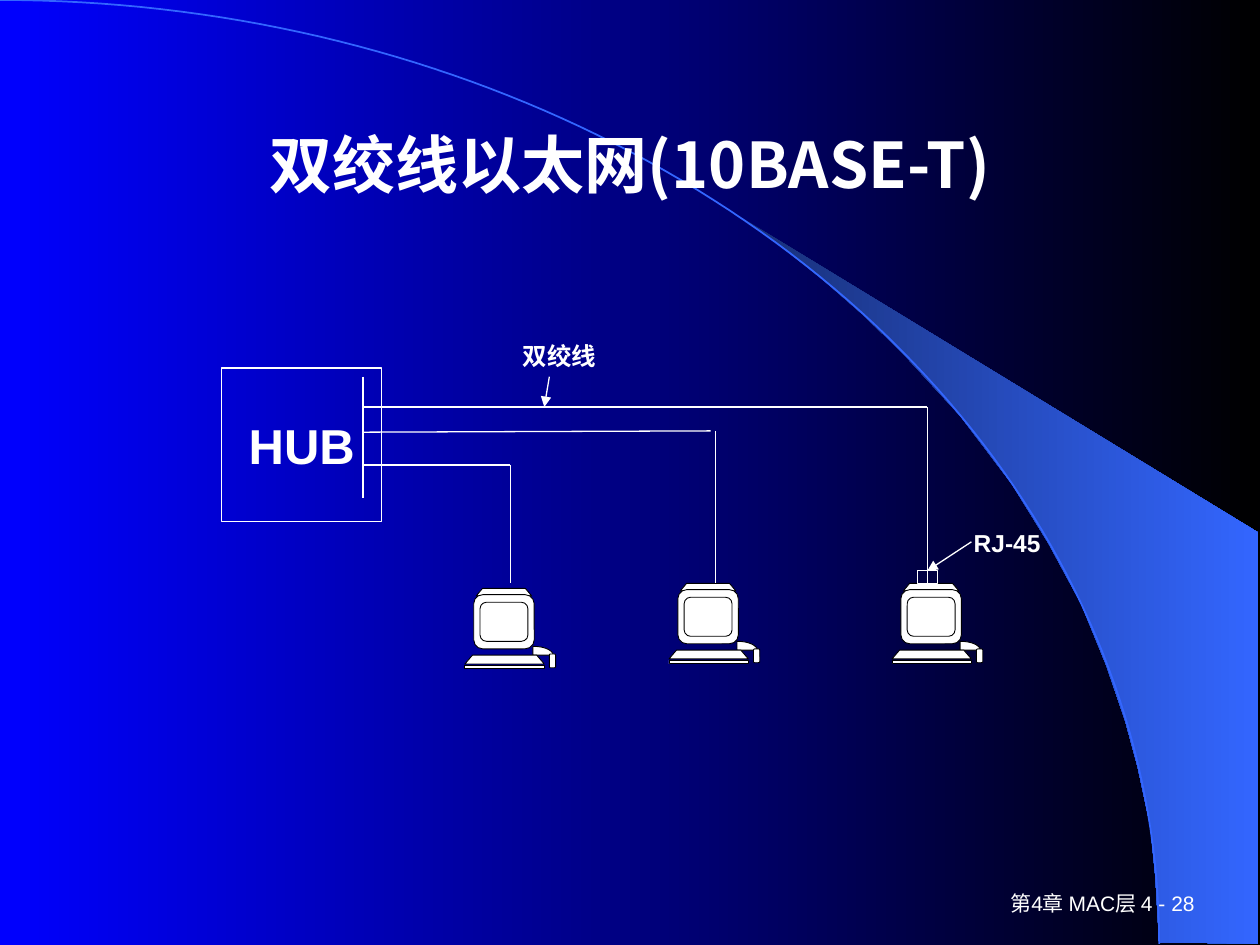
from math import cos, pi, sin

from lxml import etree
from pptx import Presentation
from pptx.dml.color import RGBColor
from pptx.enum.shapes import MSO_CONNECTOR, MSO_SHAPE
from pptx.enum.text import MSO_ANCHOR, PP_ALIGN
from pptx.oxml.ns import qn
from pptx.util import Inches, Pt

WHITE, BLACK, BLUE = "FFFFFF", "000000", "3366FF"


def rgb(value):
    return RGBColor.from_string(value)


def arc(x, y, rx, ry, steps=90):
    """Points of a quarter ellipse around (x, y), from its top to its right."""
    angles = [pi / 2 * i / steps for i in range(steps + 1)]
    return [(x + rx * sin(a), y - ry * cos(a)) for a in angles]


class Diagram:
    font = "Arial"
    title_font = "Noto Sans CJK SC"

    def __init__(self, prs):
        self.s = prs.slides.add_slide(prs.slide_layouts[5])

    def gradient(self, fill, start, end):
        fill.gradient()
        fill.gradient_angle = 0
        for stop, color in zip(fill.gradient_stops, (start, end)):
            stop.color.rgb = rgb(color)

    def style(self, sp, fill=None, line=None, width=0.75):
        sp.shadow.inherit = False
        if fill:
            sp.fill.solid()
            sp.fill.fore_color.rgb = rgb(fill)
        else:
            sp.fill.background()
        if line:
            sp.line.color.rgb = rgb(line)
            sp.line.width = Pt(width)
        else:
            sp.line.fill.background()
        return sp

    def shape(self, kind, x, y, w, h, fill=None, line=WHITE, width=0.75, adj=None):
        sp = self.s.shapes.add_shape(kind, Inches(x), Inches(y), Inches(w), Inches(h))
        if adj is not None:
            sp.adjustments[0] = adj
        return self.style(sp, fill, line, width)

    def outline(self, points, close=True, **look):
        (x, y), *rest = [(Inches(px), Inches(py)) for px, py in points]
        builder = self.s.shapes.build_freeform(x, y)
        builder.add_line_segments(rest, close=close)
        return self.style(builder.convert_to_shape(), **look)

    def line(self, start, end, arrow=False, joined=None):
        c = self.s.shapes.add_connector(
            MSO_CONNECTOR.STRAIGHT, *[Inches(v) for v in (*start, *end)])
        if joined:
            c.end_connect(*joined)
        c.line.color.rgb = rgb(WHITE)
        c.line.width = Pt(0.75)
        sp_pr = c.element.find(qn("p:spPr"))
        if arrow:
            etree.SubElement(sp_pr.find(qn("a:ln")), qn("a:tailEnd"), type="triangle")
        etree.SubElement(sp_pr, qn("a:effectLst"))
        return c

    def add_words(self, sp, text, size, bold=True, align=PP_ALIGN.LEFT,
                  anchor=MSO_ANCHOR.TOP, wrap=True, font=None):
        tf = sp.text_frame
        tf.word_wrap = wrap
        tf.vertical_anchor = anchor
        p = tf.paragraphs[0]
        p.alignment = align
        r = p.add_run()
        r.text = text
        r.font.size = Pt(size)
        r.font.bold = bold
        r.font.name = font or self.font
        r.font.color.rgb = rgb(WHITE)
        # East Asian font for the Chinese characters
        etree.SubElement(p.runs[0].font._element, qn("a:ea"), typeface=self.title_font)

    def text(self, x, y, w, h, text, size, **look):
        sp = self.s.shapes.add_textbox(Inches(x), Inches(y), Inches(w), Inches(h))
        self.add_words(sp, text, size, **look)

    def title(self, x, y, w, h, text):
        sp = self.s.shapes.title
        sp.left, sp.top, sp.width, sp.height = (Inches(v) for v in (x, y, w, h))
        self.add_words(sp, text, 36, align=PP_ALIGN.CENTER,
                       anchor=MSO_ANCHOR.MIDDLE, font=self.title_font)
        # Bring the title in front of the backdrop
        sp.element.getparent().append(sp.element)

    def computer(self, x, y):
        look = dict(fill=WHITE, line=BLACK, width=0.5)
        rounded = MSO_SHAPE.ROUNDED_RECTANGLE
        # Cord and mouse
        corner = (x + 0.54, y + 0.53)
        self.outline([corner, *arc(*corner, 0.16, 0.07, 12)], **look)
        self.shape(rounded, x + 0.67, y + 0.52, 0.05, 0.11, adj=0.2, **look)
        # Keyboard and monitor top, both tapering upwards
        for dx, dy, w, h, inset in ((0, 0.53, 0.63, 0.07, 0.06),
                                    (0.09, 0, 0.44, 0.06, 0.05)):
            left, top, right, bottom = x + dx, y + dy, x + dx + w, y + dy + h
            self.outline([(left, bottom), (left + inset, top),
                          (right - inset, top), (right, bottom)], **look)
        self.shape(MSO_SHAPE.RECTANGLE, x, y + 0.61, 0.63, 0.03, **look)
        # Monitor and screen
        self.shape(rounded, x + 0.07, y + 0.05, 0.48, 0.43, adj=0.165, **look)
        self.shape(rounded, x + 0.12, y + 0.11, 0.38, 0.31, adj=0.165, **look)


def main():
    prs = Presentation()
    prs.slide_width, prs.slide_height = Inches(10), Inches(7.5)
    d = Diagram(prs)

    # Backdrop
    d.gradient(d.s.background.fill, "0000FF", BLACK)
    beam = d.outline([
        (9.2, 7.48), (9.99, 7.49), (9.99, 4.23), (5.89, 1.73), (6.24, 1.99),
        (6.53, 2.22), (6.85, 2.5), (7.16, 2.8), (7.62, 3.3), (8.03, 3.84),
        (8.32, 4.31), (8.58, 4.79), (8.78, 5.28), (8.93, 5.72), (9.03, 6.09),
        (9.13, 6.56), (9.17, 6.96)])
    d.gradient(beam.fill, "182F76", BLUE)
    d.outline(arc(0, 7.49, 9.2, 7.49), close=False, line=BLUE, width=1)

    # Title and footer
    d.title(0.75, 0.67, 8.5, 1.25, "双绞线以太网(10BASE-T)")
    d.text(7.5, 7, 2.08, 0.33, "第4章 MAC层 4 - 28", 12, bold=False,
           align=PP_ALIGN.RIGHT, anchor=MSO_ANCHOR.MIDDLE)

    # Computers
    for x, y in ((3.69, 4.67), (5.31, 4.63), (7.08, 4.63)):
        d.computer(x, y)

    # Hub with its port strip
    port_x = 2.88
    hub = d.shape(MSO_SHAPE.RECTANGLE, 1.76, 2.92, 1.27, 1.22)
    d.add_words(hub, "HUB", 28, align=PP_ALIGN.CENTER,
                anchor=MSO_ANCHOR.MIDDLE, wrap=False)
    d.line((port_x, 2.99), (port_x, 3.95))

    # Cables: along from the port, then down to the computer
    plug = d.shape(MSO_SHAPE.RECTANGLE, 7.28, 4.53, 0.16, 0.1)
    for port_y, turn, drop_x, joined in (
            (3.23, (7.36, 3.23), 7.36, (plug, 2)),
            (3.43, (5.64, 3.42), 5.68, None),
            (3.69, (4.05, 3.69), 4.05, None)):
        d.line((port_x, port_y), turn)
        d.line((drop_x, turn[1]), (drop_x, 4.63), joined=joined)

    # Labels with arrows
    d.text(7.63, 4.14, 0.8, 0.34, "RJ-45", 14)
    d.line((7.71, 4.3), (7.36, 4.53), arrow=True, joined=(plug, 0))
    d.text(4.05, 2.66, 1.6, 0.34, "双绞线", 14)
    d.line((4.36, 2.99), (4.32, 3.23), arrow=True)

    prs.save("out.pptx")


if __name__ == "__main__":
    main()
